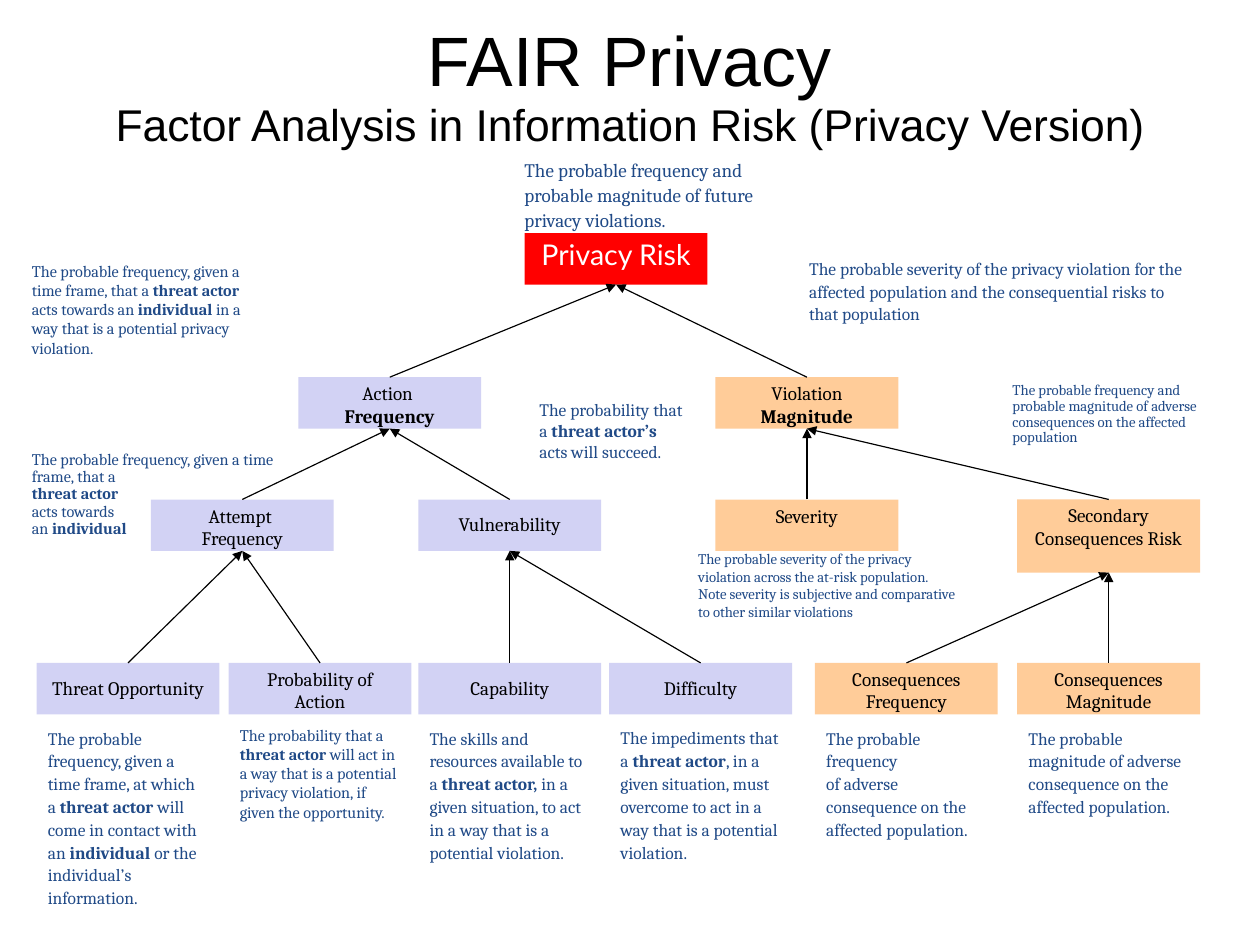
from lxml import etree
from pptx import Presentation
from pptx.dml.color import RGBColor
from pptx.enum.shapes import MSO_CONNECTOR, MSO_SHAPE
from pptx.enum.text import MSO_ANCHOR, PP_ALIGN
from pptx.oxml.ns import qn
from pptx.util import Inches, Pt

BLUE, LILAC, ORANGE = "204A87", "D2D2F4", "FFCC99"


def rgb(value):
    return RGBColor.from_string(value)


def write(tf, text, size=12, font="Cambria", color="000000", spacing=0.98,
          align=PP_ALIGN.CENTER, anchor=MSO_ANCHOR.TOP):
    """Newline starts a paragraph, | breaks a line, *stars* mark bold."""
    tf.word_wrap = True
    tf.vertical_anchor = anchor
    for n, line in enumerate(text.split("\n")):
        p = tf.add_paragraph() if n else tf.paragraphs[0]
        p.alignment = align
        p.line_spacing = spacing
        for i, part in enumerate(line.split("*")):
            for j, piece in enumerate(part.split("|")):
                if j:
                    p.add_line_break()
                if piece:
                    r = p.add_run()
                    r.text = piece
                    r.font.size = Pt(size)
                    r.font.name = font
                    r.font.bold = i % 2 == 1
                    r.font.color.rgb = rgb(color)


# Slide of 28 by 21 cm
prs = Presentation()
prs.slide_width = Inches(28 / 2.54)
prs.slide_height = Inches(21 / 2.54)
s = prs.slides.add_slide(prs.slide_layouts[6])

# Title
tf = s.shapes.add_textbox(Inches(0.55), Inches(0.25), Inches(9.92), Inches(1.03)).text_frame
tf.margin_left = tf.margin_right = tf.margin_bottom = 0
tf.margin_top = Inches(0.01)
write(tf, "FAIR Privacy|Factor Analysis in Information Risk (Privacy Version)",
      size=28, font="Arial", spacing=0.93, anchor=MSO_ANCHOR.MIDDLE)
tf.paragraphs[0].runs[0].font.size = Pt(44)

# Definitions: left, top, width, height, size, line spacing, text
definitions = [
    (4.49, 1.32, 2.27, 0.78, 12, 1.09,
     "The probable frequency and probable magnitude of future privacy violations."),
    (0.18, 2.24, 2.21, 1.1, 10.2, 0.99,
     "The probable frequency, given a time frame, that a *threat actor *acts towards an "
     "*individual* in a way that is a potential privacy violation."),
    (0.32, 6.3, 1.57, 1.91, 11, 1.09,
     "The probable frequency, given a time frame, at which a* threat actor *will come in "
     "contact with an *individual *or the individual’s information."),
    (2, 6.3, 1.57, 1.36, 10.2, 0.99,
     "The probability that a* threat actor *will act in a way that is a potential privacy "
     "violation, if given the opportunity."),
    (3.66, 6.3, 1.6, 1.72, 11, 1.09,
     "The skills and resources available to a* threat actor, *in a given situation, to act "
     "in a way that is a potential violation."),
    (5.33, 6.3, 1.6, 1.56, 11, 1.09,
     "The impediments that a *threat actor*, in a given situation, must overcome to act in "
     "a way that is a potential violation."),
    (7.13, 6.3, 1.61, 1.45, 11, 1.09,
     "The probable frequency\nof adverse consequence on the affected population."),
    (8.9, 6.3, 1.6, 1.35, 11, 1.09,
     "The probable magnitude of adverse consequence on the affected population."),
    (0.18, 3.9, 2.49, 0.86, 10.2, 0.89,
     "The probable frequency, given a time frame, that a\n*threat actor*\nacts towards\n"
     "an *individual*"),
    (6.98, 2.19, 3.58, 1.12, 11, 1.09,
     "The probable severity of the privacy violation for the affected population and the "
     "consequential risks to that population"),
    (6.01, 4.77, 2.48, 0.75, 9.3, 0.99,
     "The probable severity of the privacy violation across the at-risk population. Note "
     "severity is subjective and comparative to other similar violations"),
    (8.76, 3.3, 2.11, 0.64, 9.3, 0.89,
     "The probable frequency and probable magnitude of adverse consequences on the "
     "affected population"),
    (4.62, 3.45, 1.46, 0.86, 11, 0.99,
     "The probability that a *threat actor’s* acts will succeed."),
]
for left, top, width, height, size, spacing, text in definitions:
    tb = s.shapes.add_textbox(Inches(left), Inches(top), Inches(width), Inches(height))
    write(tb.text_frame, text, size=size, color=BLUE, spacing=spacing, align=PP_ALIGN.LEFT)

# Factor boxes: name, left, top, fill, text, text format
middle = {"anchor": MSO_ANCHOR.MIDDLE}
factors = [
    ("risk", 4.59, 2.04, "FF0000", "Privacy Risk",
     {"size": 18, "font": "Lato", "color": "FFFFFF"}),
    ("action", 2.61, 3.3, LILAC, "Action |*Frequency*", {}),
    ("attempt", 1.32, 4.37, LILAC, "Attempt |Frequency", {}),
    ("vulnerability", 3.66, 4.37, LILAC, "Vulnerability", middle),
    ("opportunity", 0.32, 5.8, LILAC, "Threat Opportunity", middle),
    ("probability", 2, 5.8, LILAC, "Probability of Action", {}),
    ("capability", 3.66, 5.8, LILAC, "Capability", middle),
    ("difficulty", 5.33, 5.8, LILAC, "Difficulty", middle),
    ("violation", 6.26, 3.3, ORANGE, "Violation *Magnitude*", {}),
    ("severity", 6.26, 4.37, ORANGE, "Severity", {}),
    ("secondary", 8.9, 4.37, ORANGE, "Secondary Consequences Risk", {}),
    ("frequency", 7.13, 5.8, ORANGE, "Consequences Frequency", {}),
    ("magnitude", 8.9, 5.8, ORANGE, "Consequences Magnitude", {}),
]
boxes = {}
for name, left, top, fill, text, style in factors:
    height = 0.64 if name == "secondary" else 0.45
    sp = s.shapes.add_shape(MSO_SHAPE.RECTANGLE, Inches(left), Inches(top),
                            Inches(1.6), Inches(height))
    sp.shadow.inherit = False
    sp.fill.solid()
    sp.fill.fore_color.rgb = rgb(fill)
    sp.line.fill.background()
    tf = sp.text_frame
    tf.margin_left = tf.margin_right = Inches(0.11)
    write(tf, text, **style)
    boxes[name] = sp

# Arrows from the top of each factor to the bottom of its parent
tree = {
    "risk": ["action", "violation"],
    "action": ["attempt", "vulnerability"],
    "attempt": ["opportunity", "probability"],
    "vulnerability": ["capability", "difficulty"],
    "violation": ["severity", "secondary"],
    "secondary": ["frequency", "magnitude"],
}
for parent, children in tree.items():
    for child in children:
        arrow = s.shapes.add_connector(MSO_CONNECTOR.STRAIGHT, 0, 0, 0, 0)
        arrow.begin_connect(boxes[child], 0)
        arrow.end_connect(boxes[parent], 2)
        arrow.line.color.rgb = rgb("000000")
        arrow.line.width = Pt(0.75)
        etree.SubElement(arrow.line._get_or_add_ln(), qn("a:tailEnd"), type="triangle")
        etree.SubElement(arrow._element.spPr, qn("a:effectLst"))

prs.save("out.pptx")
